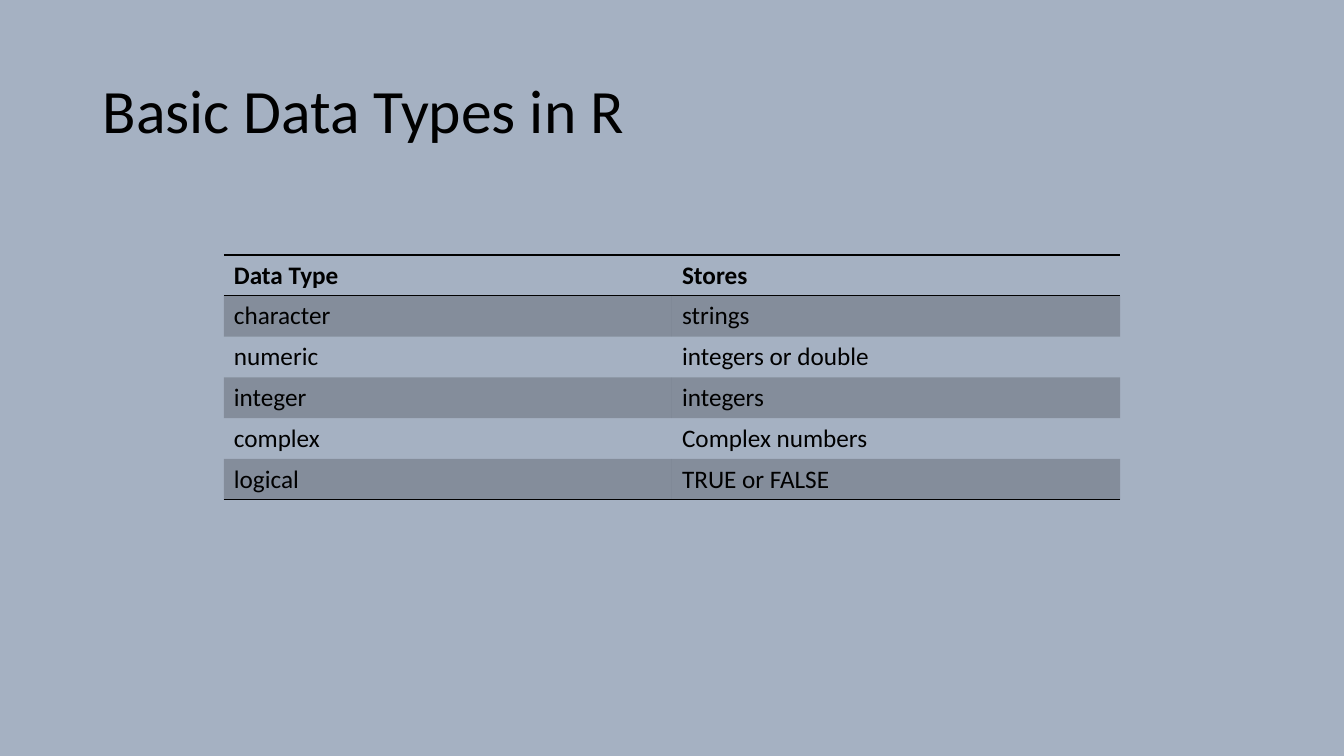
from lxml.etree import SubElement
from pptx import Presentation
from pptx.dml.color import RGBColor
from pptx.enum.text import MSO_ANCHOR
from pptx.oxml import parse_xml
from pptx.oxml.ns import nsdecls, qn
from pptx.util import Inches, Pt

FONT = "Calibri"
BLACK = "000000"
BACKGROUND = "A5B1C2"
NO_STYLE_NO_GRID = "{2D5ABB26-0587-4C30-8999-92F81FD0307C}"

DATA_TYPES = [
    ("Data Type", "Stores"),
    ("character", "strings"),
    ("numeric", "integers or double"),
    ("integer", "integers"),
    ("complex", "Complex numbers"),
    ("logical", "TRUE or FALSE"),
]


def rgb(value):
    return RGBColor.from_string(value)


def write(tf, text, size=18, bold=False, color=BLACK, line_spacing=None):
    p = tf.paragraphs[0]
    p.line_spacing = line_spacing
    r = p.add_run()
    r.text = text
    r.font.name = FONT
    r.font.size = Pt(size)
    r.font.bold = bold
    r.font.color.rgb = rgb(color)


def fill_cell(cell, color, alpha):
    cell.fill.solid()
    cell.fill.fore_color.rgb = rgb(color)
    clr = cell.fill._xPr.find(qn("a:solidFill"))[0]
    SubElement(clr, qn("a:alpha")).set("val", str(alpha * 1000))


def add_borders(cell, sides, color=BLACK, width=1):
    # Border lines go ahead of the cell fill, top before bottom
    tcPr = cell._tc.get_or_add_tcPr()
    for i, side in enumerate(sides):
        tcPr.insert(i, parse_xml(
            f'<a:ln{side} {nsdecls("a")} w="{Pt(width)}"><a:solidFill>'
            f'<a:srgbClr val="{color}"/></a:solidFill></a:ln{side}>'))


def add_title(s, text, left, top, width, height):
    tf = s.shapes.add_textbox(Inches(left), Inches(top),
                              Inches(width), Inches(height)).text_frame
    tf.word_wrap = True
    tf.vertical_anchor = MSO_ANCHOR.MIDDLE
    write(tf, text, size=44, line_spacing=0.9)


def add_type_table(s, rows, left, top, width, height):
    frame = s.shapes.add_table(len(rows), len(rows[0]), Inches(left),
                               Inches(top), Inches(width), Inches(height))
    table = frame.table
    table._tbl.tblPr.find(qn("a:tableStyleId")).text = NO_STYLE_NO_GRID
    last = len(rows) - 1
    for i, row in enumerate(rows):
        for j, text in enumerate(row):
            cell = table.cell(i, j)
            write(cell.text_frame, text, bold=i == 0)
            # Shade every other body row
            if i % 2:
                fill_cell(cell, BLACK, alpha=20)
            else:
                cell.fill.background()
            # Rules around the header and under the last row
            add_borders(cell, {0: "TB", last: "B"}.get(i, ""))


def main():
    prs = Presentation()
    prs.slide_width, prs.slide_height = Inches(13.33), Inches(7.5)
    s = prs.slides.add_slide(prs.slide_layouts[6])
    s.background.fill.solid()
    s.background.fill.fore_color.rgb = rgb(BACKGROUND)
    add_title(s, "Basic Data Types in R", 0.92, 0.4, 11.5, 1.45)
    add_type_table(s, DATA_TYPES, 2.22, 2.53, 8.89, 2.43)
    prs.save("out.pptx")


if __name__ == "__main__":
    main()
